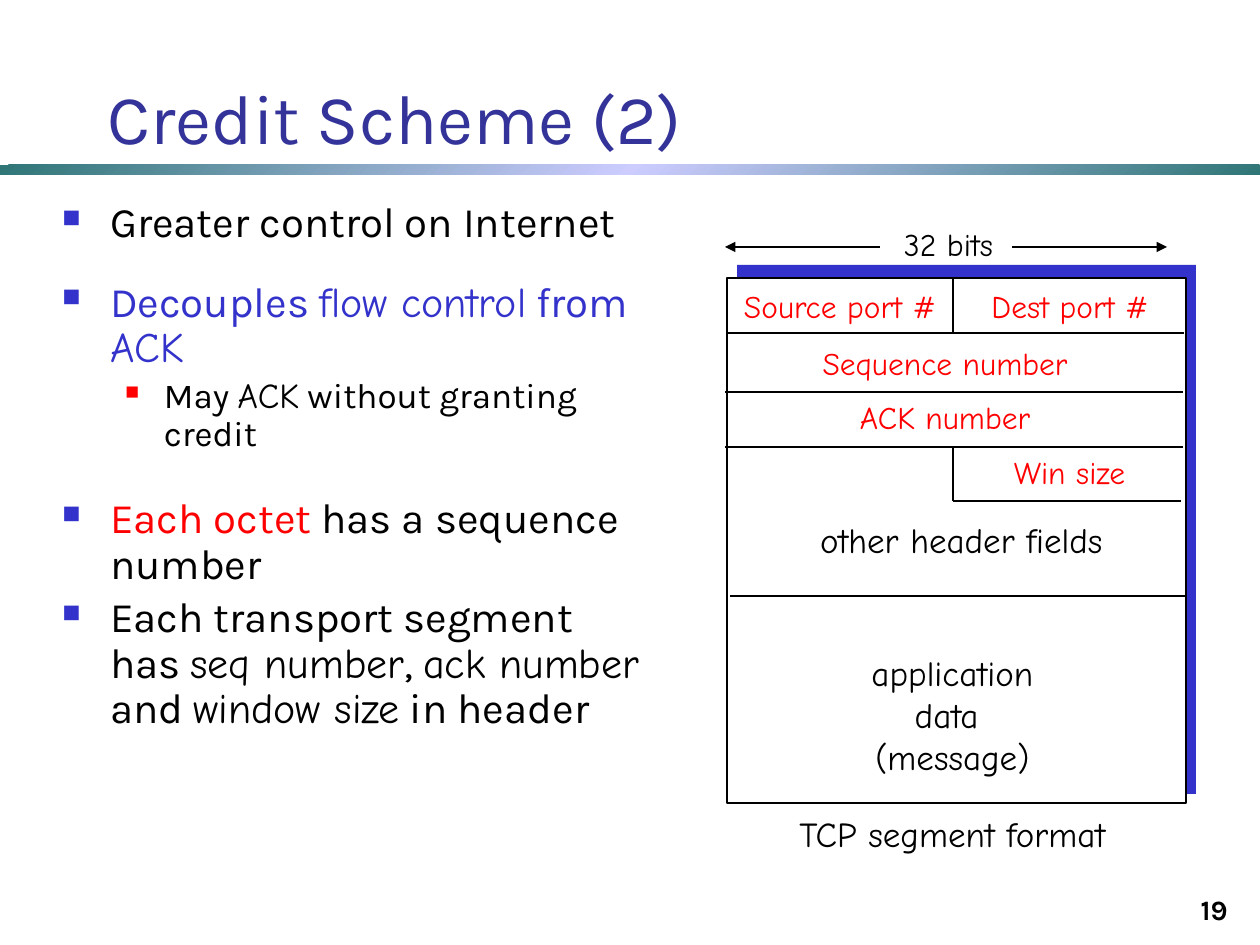
from copy import deepcopy

from lxml.etree import SubElement
from pptx import Presentation
from pptx.dml.color import RGBColor
from pptx.enum.shapes import MSO_CONNECTOR as Connector, MSO_SHAPE as Shape
from pptx.enum.text import MSO_ANCHOR as Anchor, PP_ALIGN as Align
from pptx.oxml.ns import qn
from pptx.util import Pt

PX = 914400 / 126
BLACK = RGBColor(0x00, 0x00, 0x00)
WHITE = RGBColor(0xFF, 0xFF, 0xFF)
RED = RGBColor(0xFF, 0x00, 0x00)
BLUE = RGBColor(0x33, 0x33, 0xCC)
NAVY = RGBColor(0x33, 0x33, 0x99)
TEAL = RGBColor(0x2F, 0x76, 0x76)
LILAC = RGBColor(0xCC, 0xCC, 0xFF)
SANS, HAND = "Karla", "Comic Neue"

POINTS = [
    (0, 0, [("Greater control on Internet", SANS, BLACK)]),
    (0, 19.6, [("Decouples ", SANS, BLUE), ("flow control", HAND, BLUE),
               (" from ", SANS, BLUE), ("ACK", HAND, BLUE)]),
    (1, 4, [("May ", SANS, BLACK), ("ACK", HAND, BLACK),
            (" without granting credit", SANS, BLACK)]),
    (0, 24.8, [("Each octet ", SANS, RED), ("has a sequence number", SANS, BLACK)]),
    (0, 4.8, [("Each transport segment has ", SANS, BLACK), ("seq number", HAND, BLACK),
              (", ", SANS, BLACK), ("ack number", HAND, BLACK), (" and ", SANS, BLACK),
              ("window size", HAND, BLACK), (" in header", SANS, BLACK)]),
]
LEVELS = [(48, 48, BLUE, 60, 24), (102, 39, RED, 55, 20)]

FIELDS = [
    (["Source port #"], (-6, 3, 238, 50), 18, RED),
    (["Dest port #"], (241, 3, 204, 50), 18, RED),
    (["Sequence number"], (77, 60, 282, 50), 18, RED),
    (["ACK number"], (116, 114, 204, 50), 18, RED),
    (["Win size"], (267, 169, 151, 50), 18, RED),
    (["32 bits"], (156, -59, 131, 50), 18, BLACK),
    (["other header fields"], (62, 234, 345, 54), 20, BLACK),
    (["application", "data ", "(message)"], (126, 367, 199, 139), 20, BLACK),
    (["TCP segment format"], (44, 528, 363, 55), 20, BLACK),
]
RULES = [(-1, 55, 457, 55), (-2, 114, 456, 114), (-2, 169, 456, 169),
         (226, 223, 454, 223), (3, 318, 460, 318),
         (226, 0, 226, 55), (226, 169, 226, 223)]
ARROWS = [(153, -31, -2, -31), (285, -31, 440, -31)]


def emu(*lengths):
    """Turn px lengths into EMU."""
    return [round(length * PX) for length in lengths]


def add_run(paragraph, text, font, size, color, bold=False):
    """Append one formatted run."""
    run = paragraph.add_run()
    run.text = text
    run.font.name = font
    run.font.size = Pt(size)
    run.font.bold = bold
    run.font.color.rgb = color


def add_text(slide, box, lines, font, size, color, align, wrap=False, bold=False):
    """Add a text box with one paragraph per line."""
    frame = slide.shapes.add_textbox(*emu(*box)).text_frame
    frame.word_wrap = wrap
    for index, line in enumerate(lines):
        paragraph = frame.add_paragraph() if index else frame.paragraphs[0]
        paragraph.alignment = align
        add_run(paragraph, line, font, size, color, bold)
    return frame


def add_rect(slide, box):
    """Add a plain rectangle without shadow or outline."""
    rect = slide.shapes.add_shape(Shape.RECTANGLE, *emu(*box))
    rect.shadow.inherit = False
    rect.line.fill.background()
    return rect


def add_line(slide, ends, arrow=False):
    """Draw a black line, with an arrowhead at its end if asked."""
    line = slide.shapes.add_connector(Connector.STRAIGHT, *emu(*ends))
    line.line.color.rgb = BLACK
    line.line.width = Pt(1.5)
    properties = line._element.spPr
    if arrow:
        SubElement(properties.find(qn("a:ln")), qn("a:tailEnd"), type="triangle")
    SubElement(properties, qn("a:effectLst"))


def add_band(slide, box):
    """Add the gradient band under the title."""
    fill = add_rect(slide, box).fill
    fill.gradient()
    fill.gradient_angle = 315
    first = fill.gradient_stops[0]._gs
    first.addnext(deepcopy(first))
    for stop, position, color in zip(fill.gradient_stops, (0, 0.5, 1), (TEAL, LILAC, TEAL)):
        stop.position = position
        stop.color.rgb = color


def add_title(slide, box):
    """Place and format the title."""
    title = slide.shapes.title
    title.left, title.top, title.width, title.height = emu(*box)
    title.text_frame.vertical_anchor = Anchor.BOTTOM
    paragraph = title.text_frame.paragraphs[0]
    paragraph.alignment = Align.LEFT
    add_run(paragraph, "Credit Scheme (2)", SANS, 40, NAVY)


def add_bullet(paragraph, level):
    """Give a paragraph the indent and square bullet of its level."""
    margin, hanging, color, percent, _ = LEVELS[level]
    properties = paragraph._p.get_or_add_pPr()
    properties.set("marL", str(emu(margin)[0]))
    properties.set("indent", str(-emu(hanging)[0]))
    bullet_color = SubElement(properties, qn("a:buClr"))
    SubElement(bullet_color, qn("a:srgbClr"), val=str(color))
    SubElement(properties, qn("a:buSzPct"), val=str(percent * 1000))
    SubElement(properties, qn("a:buChar"), char="■")


def add_points(slide, box):
    """Add the bulleted list."""
    frame = slide.shapes.add_textbox(*emu(*box)).text_frame
    frame.word_wrap = True
    frame.margin_left = frame.margin_right = emu(8)[0]
    for index, (level, before, runs) in enumerate(POINTS):
        paragraph = frame.add_paragraph() if index else frame.paragraphs[0]
        paragraph.level = level
        add_bullet(paragraph, level)
        paragraph.line_spacing = 0.9
        paragraph.space_before = Pt(before)
        for text, font, color in runs:
            add_run(paragraph, text, font, LEVELS[level][-1], color)


def add_segment(slide, box):
    """Draw the TCP segment diagram around its frame box."""
    left, top, width, height = box
    backdrop = add_rect(slide, (left + 10, top - 13, width, height + 4))
    backdrop.fill.solid()
    backdrop.fill.fore_color.rgb = BLUE
    packet = add_rect(slide, box)
    packet.fill.solid()
    packet.fill.fore_color.rgb = WHITE
    packet.line.color.rgb = BLACK
    packet.line.width = Pt(1.5)
    for ends in RULES + ARROWS:
        x1, y1, x2, y2 = ends
        add_line(slide, (left + x1, top + y1, left + x2, top + y2), ends in ARROWS)
    for lines, (x, y, w, h), size, color in FIELDS:
        add_text(slide, (left + x, top + y, w, h), lines, HAND, size, color, Align.CENTER)


def add_number(slide, box):
    """Add the slide number."""
    frame = add_text(slide, box, ["19"], SANS, 16, BLACK, Align.RIGHT, True, True)
    frame.vertical_anchor = Anchor.BOTTOM


def main():
    """Build and save the slide."""
    deck = Presentation()
    deck.slide_width, deck.slide_height = emu(1260, 945)
    slide = deck.slides.add_slide(deck.slide_layouts[5])
    add_band(slide, (0, 165, 1260, 10))
    add_title(slide, (95, 45, 1165, 120))
    add_points(slide, (54, 195, 600, 674))
    add_segment(slide, (727, 278, 459, 525))
    add_number(slide, (978, 869, 262, 63))
    deck.save("out.pptx")


if __name__ == "__main__":
    main()
